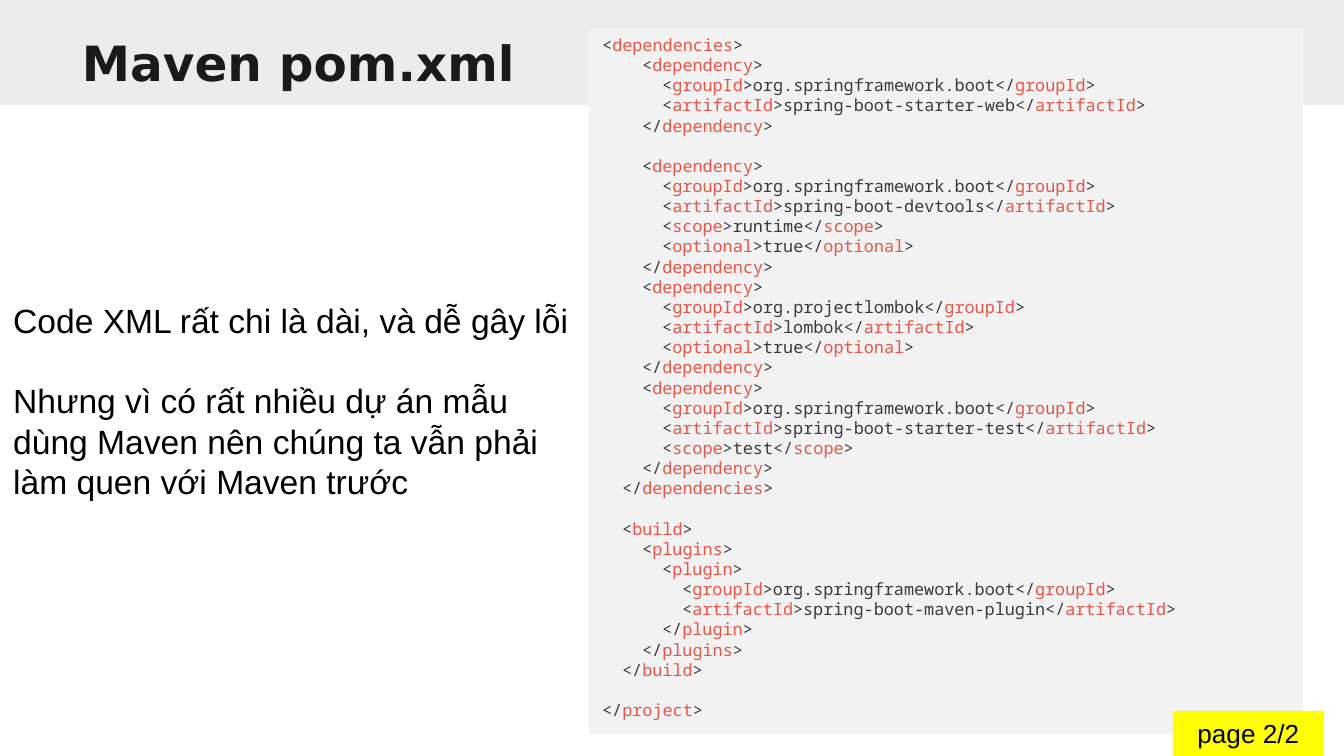
from dataclasses import dataclass
from pptx import Presentation
from pptx.dml.color import RGBColor
from pptx.enum.shapes import MSO_SHAPE as Shape
from pptx.enum.text import MSO_ANCHOR as Anchor, PP_ALIGN as Align
from pptx.util import Pt

PX = 914400 / 134.4


@dataclass(frozen=True)
class Theme:
    band: str = "E9EDEE"
    panel: str = "F2F2F2"
    badge: str = "FFFF00"
    title: str = "1A1A1A"
    ink: str = "000000"
    code: str = "383A42"
    tag: str = "E45649"
    title_font: str = "DejaVu Sans"
    body_font: str = "Arial"
    code_font: str = "Noto Sans Mono"
    title_size: int = 26
    body_size: int = 18
    badge_size: int = 14
    code_size: int = 9
    leading: float = 1.2


theme = Theme()


def px(value):
    return round(value * PX)


def write(frame, lines, font, size, colors, bold=False, align=Align.LEFT, leading=None, step=0):
    frame.word_wrap = True
    para, gap = frame.paragraphs[0], 0
    for index, line in enumerate(lines):
        if not line:
            gap += 1
            continue
        if index:
            para = frame.add_paragraph()
        para.alignment = align
        if leading:
            para.line_spacing = Pt(size * leading)
            para.space_before = Pt(size * leading * gap)
        gap = 0
        text = line.lstrip()
        if step:
            para._p.get_or_add_pPr().set("marL", str(px(step * (len(line) - len(text)))))
        for number, piece in enumerate(text.split("|")):
            span = para.add_run()
            span.text = piece
            span.font.name, span.font.size, span.font.bold = font, Pt(size), bold
            span.font.color.rgb = RGBColor.from_string(colors[number % len(colors)])


deck = Presentation()
deck.slide_width, deck.slide_height = px(1344), px(756)
page = deck.slides.add_slide(deck.slide_layouts[5])

boxes = {}
for name, fill, frame in [
    ("band", theme.band, (0, 0, 1344, 105)),
    ("panel", theme.panel, (589, 28, 714, 706)),
    ("badge", theme.badge, (1173, 711, 151, 45)),
]:
    box = page.shapes.add_shape(Shape.RECTANGLE, *map(px, frame))
    box.shadow.inherit = False
    box.fill.solid()
    box.fill.fore_color.rgb = RGBColor.from_string(fill)
    box.line.fill.background()
    boxes[name] = box

title = page.shapes.title
title.left, title.top, title.width, title.height = map(px, (35, 16, 1280, 79))
boxes["band"]._element.addnext(title._element)
frame = title.text_frame
frame.vertical_anchor = Anchor.TOP
frame.margin_left, frame.margin_top, frame.margin_bottom = px(47), px(17), 0
write(frame, ["Maven pom.xml"], theme.title_font, theme.title_size, [theme.title], bold=True)

group = ("groupId", "org.springframework.boot")
dependencies = [
    [group, ("artifactId", "spring-boot-starter-web")],
    [group, ("artifactId", "spring-boot-devtools"), ("scope", "runtime"), ("optional", "true")],
    [("groupId", "org.projectlombok"), ("artifactId", "lombok"), ("optional", "true")],
    [group, ("artifactId", "spring-boot-starter-test"), ("scope", "test")],
]
plugin = [group, ("artifactId", "spring-boot-maven-plugin")]

code = ["<dependencies>"]
for index, fields in enumerate(dependencies):
    if index == 1:
        code.append("")
    code.append("    <dependency>")
    code += [f"      <{tag}>{value}</{tag}>" for tag, value in fields]
    code.append("    </dependency>")
code += ["  </dependencies>", "", "  <build>", "    <plugins>", "      <plugin>"]
code += [f"        <{tag}>{value}</{tag}>" for tag, value in plugin]
code += ["      </plugin>", "    </plugins>", "  </build>", "", "</project>"]

marked = [line.replace(">", "|>").replace("<", "<|").replace("<|/", "</|") for line in code]
boxes["panel"].text_frame.vertical_anchor = Anchor.TOP
write(boxes["panel"].text_frame, marked, theme.code_font, theme.code_size,
      [theme.code, theme.tag], leading=theme.leading, step=10)

boxes["badge"].text_frame.vertical_anchor = Anchor.MIDDLE
write(boxes["badge"].text_frame, ["page 2/2"], theme.body_font, theme.badge_size,
      [theme.ink], align=Align.CENTER)

remarks = page.shapes.add_textbox(*map(px, (0, 293, 594, 218)))
write(remarks.text_frame, [
    "Code XML rất chi là dài, và dễ gây lỗi",
    "",
    "Nhưng vì có rất nhiều dự án mẫu dùng Maven nên chúng ta vẫn phải",
    "làm quen với Maven trước",
], theme.body_font, theme.body_size, [theme.ink], leading=theme.leading)

deck.save("out.pptx")
